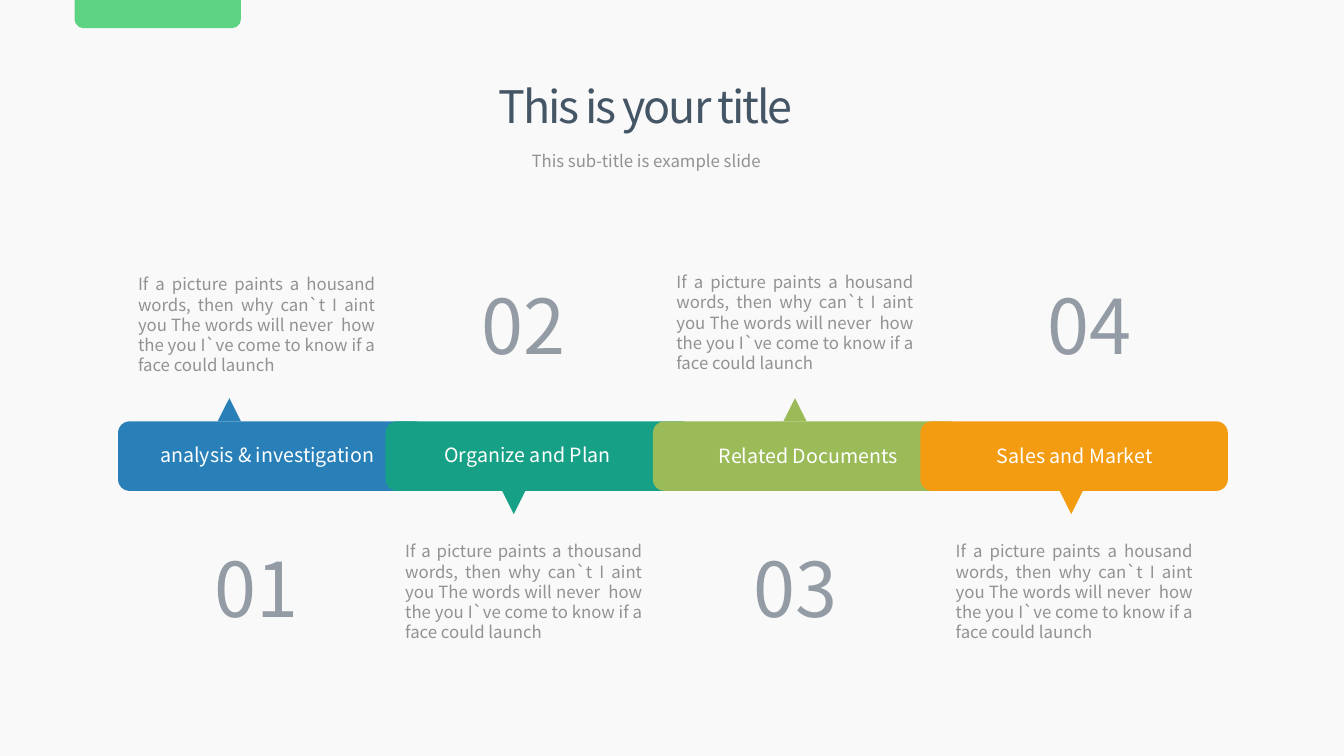
from dataclasses import dataclass

from pptx import Presentation
from pptx.dml.color import RGBColor
from pptx.enum.shapes import MSO_SHAPE
from pptx.enum.text import MSO_AUTO_SIZE, PP_ALIGN
from pptx.util import Inches, Pt

WIDE, HIGH = Inches(13.33), Inches(7.5)
FONT = "Noto Sans CJK KR"

PAPER = RGBColor(0xF9, 0xF9, 0xF9)
WHITE = RGBColor(0xFF, 0xFF, 0xFF)
GRAY = RGBColor(0x92, 0x92, 0x92)
STEEL = RGBColor(0x93, 0x9B, 0xA5)
SLATE = RGBColor(0x44, 0x55, 0x66)
MINT = RGBColor(0x5C, 0xD4, 0x84)
BLUE = RGBColor(0x29, 0x80, 0xB9)
TEAL = RGBColor(0x16, 0xA0, 0x85)
OLIVE = RGBColor(0x9B, 0xBB, 0x59)
AMBER = RGBColor(0xF3, 0x9C, 0x12)

# All lengths are percent of the slide's width or height
BAR_LEFT, BAR_STEP, BAR_WIDE = 8.78, 19.9, 22.88
BAR_TOP, BAR_HIGH = 55.73, 9.2
TIP_WIDE, TIP_HIGH = 1.73, 3.07
COPY_WIDE, LABEL_WIDE = 19.13, 17.7

STORY = ("If a picture paints a {} words, then why can`t I aint you "
         "The words will never  how the you I`ve come to know if a "
         "face could launch")


@dataclass
class Box:
    left: float
    top: float
    width: float
    height: float

    def place(self) -> tuple[int, int, int, int]:
        return (round(WIDE * self.left / 100), round(HIGH * self.top / 100),
                round(WIDE * self.width / 100), round(HIGH * self.height / 100))


@dataclass
class Step:
    label: str
    color: RGBColor
    above: bool
    tip: float
    label_left: float
    label_top: float
    copy_left: float
    copy_top: float
    num_left: float
    word: str = "housand"


STEPS = [
    Step("analysis & investigation", BLUE, True, 16.2, 11.18, 57.87,
         9.53, 35.6, 9.53),
    Step("Organize and Plan", TEAL, False, 37.36, 32.33, 57.87,
         29.41, 70.93, 29.41, "thousand"),
    Step("Related Documents", OLIVE, True, 58.29, 52.74, 58,
         49.59, 35.33, 49.59),
    Step("Sales and Market", AMBER, False, 78.84, 73.44, 58,
         70.37, 70.93, 71.49),
]


def add_form(slide, kind: MSO_SHAPE, box: Box, color: RGBColor):
    form = slide.shapes.add_shape(kind, *box.place())
    form.shadow.inherit = False
    form.fill.solid()
    form.fill.fore_color.rgb = color
    form.line.fill.background()
    return form


def add_text(slide, text: str, box: Box, *, size: float, color: RGBColor,
             align: PP_ALIGN = PP_ALIGN.CENTER, spacing: float = 0) -> None:
    frame = slide.shapes.add_textbox(*box.place()).text_frame
    frame.word_wrap = True
    frame.auto_size = MSO_AUTO_SIZE.SHAPE_TO_FIT_TEXT
    para = frame.paragraphs[0]
    para.alignment = align
    run = para.add_run()
    run.text = text
    run.font.name = FONT
    run.font.size = Pt(size)
    run.font.color.rgb = color
    if spacing:
        run._r.get_or_add_rPr().set("spc", str(round(spacing * 100)))


def add_step(slide, num: int, step: Step) -> None:
    # Pointer towards the copy
    tip_top = BAR_TOP - TIP_HIGH if step.above else BAR_TOP + BAR_HIGH
    tip = add_form(slide, MSO_SHAPE.ISOSCELES_TRIANGLE,
                   Box(step.tip, tip_top, TIP_WIDE, TIP_HIGH), step.color)
    tip.rotation = 0 if step.above else 180

    # Copy on one side of the bar, number on the other
    add_text(slide, STORY.format(step.word),
             Box(step.copy_left, step.copy_top, COPY_WIDE, 14.8),
             size=12, color=GRAY, align=PP_ALIGN.JUSTIFY)
    num_top = 71.07 if step.above else 36.27
    add_text(slide, f"{num:02}", Box(step.num_left, num_top, COPY_WIDE, 13.47),
             size=54, color=STEEL)

    # Label on the bar
    add_text(slide, step.label,
             Box(step.label_left, step.label_top, LABEL_WIDE, 4.53),
             size=14, color=WHITE, align=PP_ALIGN.LEFT)


def main() -> None:
    deck = Presentation()
    deck.slide_width, deck.slide_height = WIDE, HIGH
    slide = deck.slides.add_slide(deck.slide_layouts[6])
    slide.background.fill.solid()
    slide.background.fill.fore_color.rgb = PAPER

    # Heading and top tab
    add_text(slide, "This is your title", Box(33.23, 9.73, 29.63, 8.53),
             size=32, color=SLATE, spacing=-1.5)
    add_text(slide, "This sub-title is example slide",
             Box(35.03, 19.33, 26.11, 4), size=12, color=GRAY)
    tab = add_form(slide, MSO_SHAPE.ROUND_2_SAME_RECTANGLE,
                   Box(5.55, 0, 12.38, 3.73), MINT)
    tab.adjustments[0], tab.adjustments[1] = 0, 0.32

    # Overlapping bars first, then the parts around them
    for i, step in enumerate(STEPS):
        add_form(slide, MSO_SHAPE.ROUNDED_RECTANGLE,
                 Box(BAR_LEFT + i * BAR_STEP, BAR_TOP, BAR_WIDE, BAR_HIGH),
                 step.color)
    for num, step in enumerate(STEPS, 1):
        add_step(slide, num, step)

    deck.save("out.pptx")


if __name__ == "__main__":
    main()
